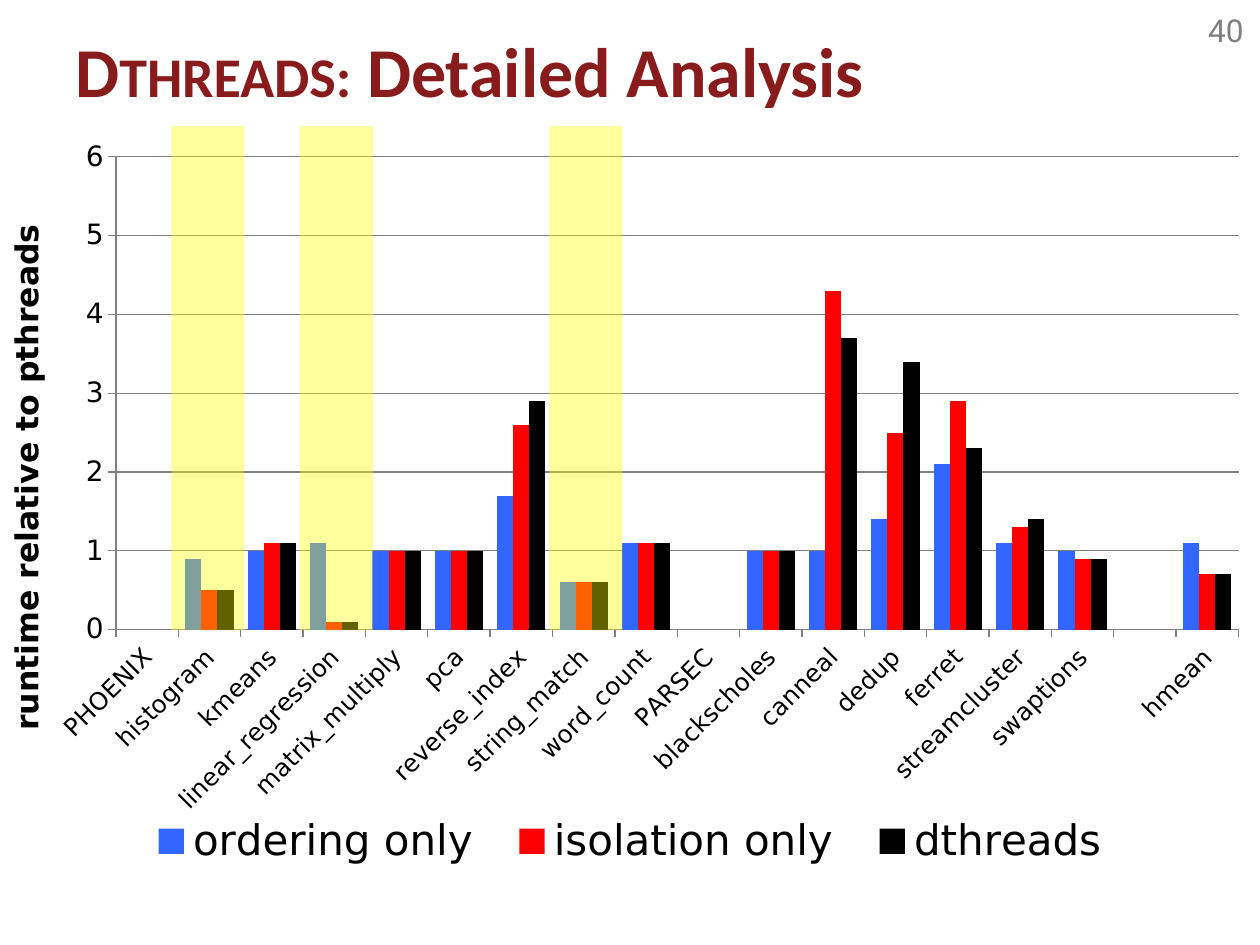
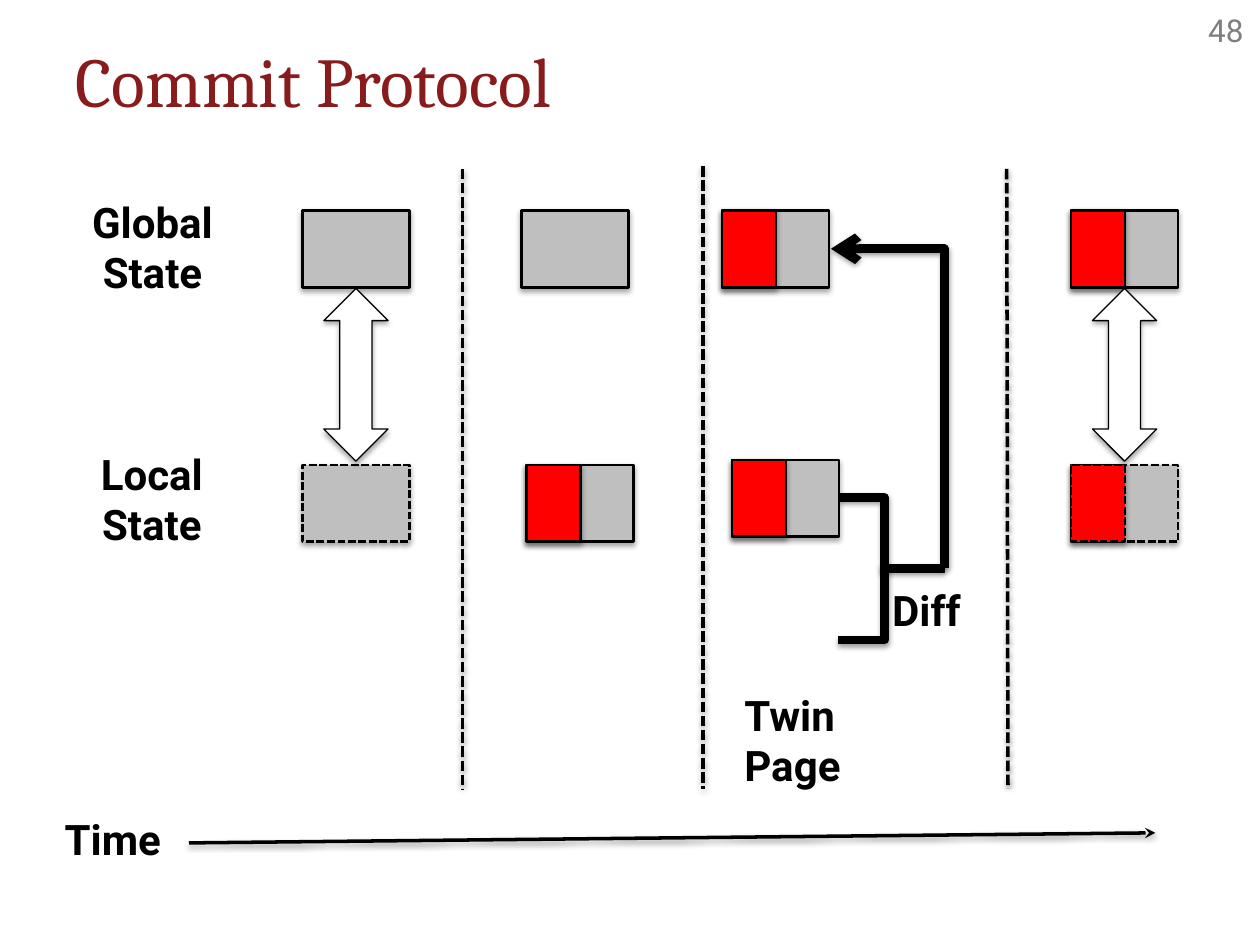
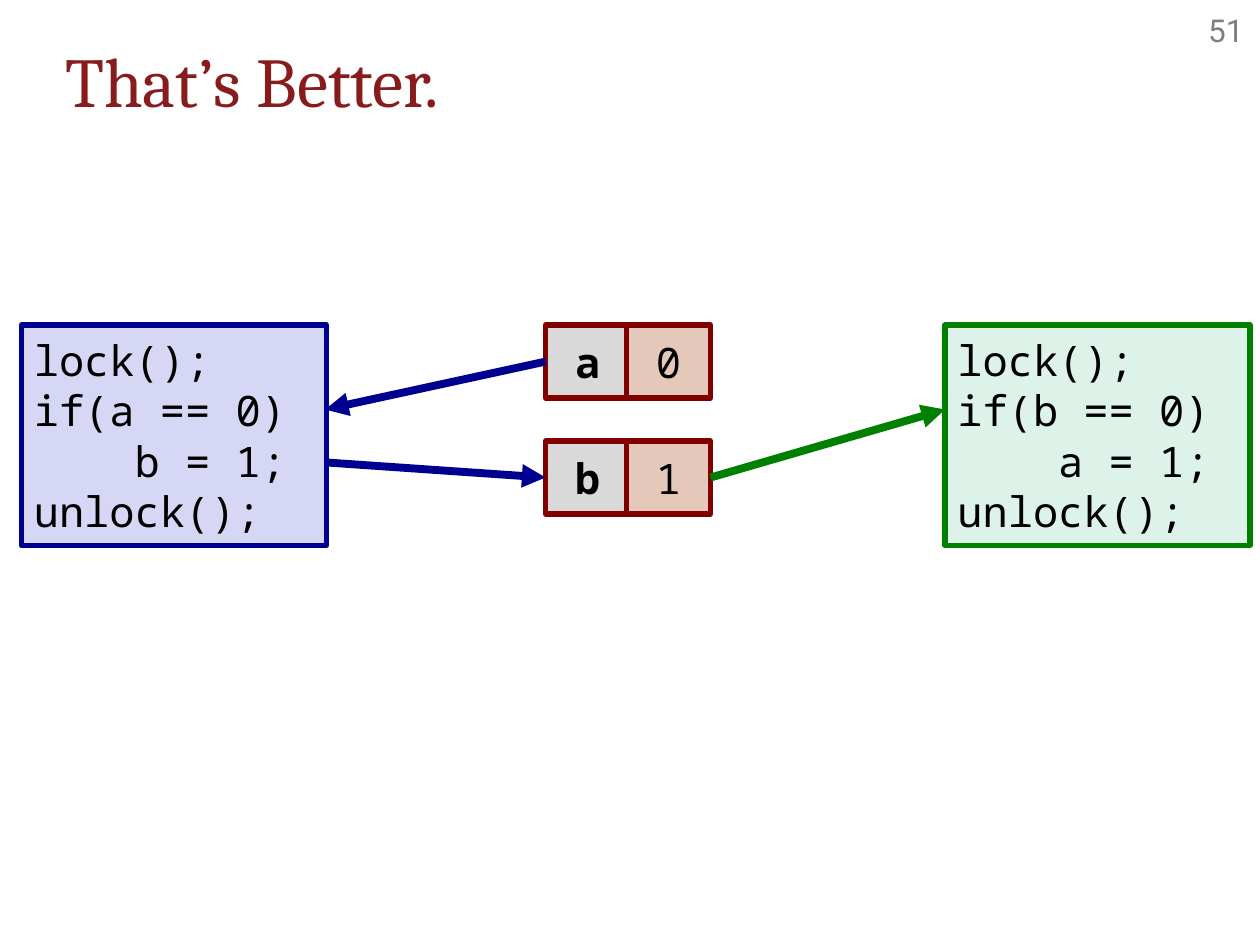
from lxml.etree import SubElement
from pptx import Presentation
from pptx.chart.data import CategoryChartData
from pptx.dml.color import RGBColor
from pptx.enum.chart import XL_CHART_TYPE, XL_LEGEND_POSITION, XL_TICK_MARK
from pptx.enum.dml import MSO_LINE
from pptx.enum.shapes import MSO_CONNECTOR as CONNECTOR, MSO_SHAPE as SHAPE
from pptx.enum.text import MSO_ANCHOR as ANCHOR, PP_ALIGN as ALIGN
from pptx.oxml.ns import qn
from pptx.util import Inches, Pt

BLACK, WHITE, RED, PAGE_GRAY = "000000", "FFFFFF", "FF0000", "BFBFBF"
MAROON, NUMBER_GRAY, GRID_GRAY = "881C1C", "7F7F7F", "808080"
YELLOW, NAVY, GREEN, CELL_RED = "FFFF00", "000090", "008000", "800000"

TITLE = {"name": "Cambria", "size": Pt(40), "color": MAROON}
BOLD_TITLE = {**TITLE, "name": "Calibri", "bold": True}
PAGE_NUMBER = {"name": "Roboto", "size": Pt(18), "color": NUMBER_GRAY}
LABEL = {"name": "Roboto", "size": Pt(24), "color": BLACK, "bold": True}
CODE = {"name": "Noto Sans Mono", "size": Pt(24), "color": BLACK}
CHART_TEXT = {"name": "DejaVu Sans", "size": Pt(16), "color": BLACK}

CATEGORIES = [
    "PHOENIX", "histogram", "kmeans", "linear_regression", "matrix_multiply",
    "pca", "reverse_index", "string_match", "word_count", "PARSEC",
    "blackscholes", "canneal", "dedup", "ferret", "streamcluster",
    "swaptions", "", "hmean",
]
SERIES = [
    ("ordering only", "3366FF",
     [None, 0.9, 1, 1.1, 1, 1, 1.7, 0.6, 1.1, None, 1, 1, 1.4, 2.1, 1.1, 1, None, 1.1]),
    ("isolation only", RED,
     [None, 0.5, 1.1, 0.1, 1, 1, 2.6, 0.6, 1.1, None, 1, 4.3, 2.5, 2.9, 1.3, 0.9, None, 0.7]),
    ("dthreads", BLACK,
     [None, 0.5, 1.1, 0.1, 1, 1, 2.9, 0.6, 1.1, None, 1, 3.7, 3.4, 2.3, 1.4, 0.9, None, 0.7]),
]


def rgb(value):
    return RGBColor.from_string(value)


def set_values(target, values):
    for name, value in values.items():
        setattr(target, name, value)


def set_font(font, style):
    set_values(font, {name: value for name, value in style.items() if name != "color"})
    font.color.rgb = rgb(style["color"])


def set_fill(fill, color, alpha=None):
    fill.solid()
    fill.fore_color.rgb = rgb(color)
    if alpha:
        color_element = next(fill._xPr.iter(qn("a:srgbClr")))
        SubElement(color_element, qn("a:alpha"), val=str(alpha * 1000))


def set_line(line, color, width, dashed=False):
    line.color.rgb = rgb(color)
    line.width = Pt(width)
    if dashed:
        line.dash_style = MSO_LINE.SQUARE_DOT


def add_shadow(effects, alpha, distance):
    shadow = SubElement(effects, qn("a:outerShdw"), blurRad=str(Pt(3.1)),
                        dist=str(Pt(distance)), dir="5400000", rotWithShape="0")
    color = SubElement(shadow, qn("a:srgbClr"), val=BLACK)
    SubElement(color, qn("a:alpha"), val=str(alpha * 1000))


def write(frame, lines, style, align=ALIGN.LEFT):
    frame.word_wrap = True
    for index, text in enumerate(lines):
        paragraph = frame.add_paragraph() if index else frame.paragraphs[0]
        paragraph.alignment = align
        run = paragraph.add_run()
        run.text = text
        set_font(run.font, style)


def add_text(slide, box, lines, style, align=ALIGN.LEFT):
    frame = slide.shapes.add_textbox(*map(Inches, box)).text_frame
    write(frame, lines, style, align)
    return frame


def add_box(slide, box, fill, line=None, width=1.5, dashed=False, alpha=None,
            kind=SHAPE.RECTANGLE, shadow=False):
    shape = slide.shapes.add_shape(kind, *map(Inches, box))
    shape.shadow.inherit = False
    set_fill(shape.fill, fill, alpha)
    if line:
        set_line(shape.line, line, width, dashed)
    else:
        shape.line.fill.background()
    if shadow:
        add_shadow(shape.element.spPr.find(qn("a:effectLst")), 35, 1.8)
    return shape


def add_line(slide, start, end, color, width, dashed=False, tail=None,
             shadow=False, kind=CONNECTOR.STRAIGHT):
    connector = slide.shapes.add_connector(kind, *map(Inches, (*start, *end)))
    set_line(connector.line, color, width, dashed)
    if tail:
        SubElement(connector.line._get_or_add_ln(), qn("a:tailEnd"), type=tail)
    effects = SubElement(connector.element.spPr, qn("a:effectLst"))
    if shadow:
        add_shadow(effects, 38, 1.6)
    return connector


def add_slide(presentation, number):
    slide = presentation.slides.add_slide(presentation.slide_layouts[6])
    add_text(slide, (9.49, 0.04, 0.58, 0.4), [number], PAGE_NUMBER)
    return slide


def add_title(slide, text, left=0.5, top=0.25, style=TITLE):
    return add_text(slide, (left, top, 9, 1.25), [text], style)


def set_layout(parent, position, **values):
    for old in parent.findall(qn("c:layout")):
        parent.remove(old)
    layout = parent.makeelement(qn("c:layout"))
    parent.insert(position, layout)
    manual = SubElement(layout, qn("c:manualLayout"))
    for name, value in values.items():
        SubElement(manual, qn(f"c:{name}"), val=str(value))


def add_runtime_chart(slide, box):
    data = CategoryChartData()
    data.categories = CATEGORIES
    for name, _, values in SERIES:
        data.add_series(name, values)
    chart = slide.shapes.add_chart(
        XL_CHART_TYPE.COLUMN_CLUSTERED, *map(Inches, box), data).chart
    set_font(chart.font, CHART_TEXT)
    set_values(chart, {"has_title": False, "has_legend": True})
    set_values(chart.plots[0], {"gap_width": 88, "overlap": 0, "vary_by_categories": False})
    for series, (_, color, _) in zip(chart.plots[0].series, SERIES):
        set_fill(series.format.fill, color)

    runtime, benchmarks = chart.value_axis, chart.category_axis
    set_values(runtime, {"minimum_scale": 0, "maximum_scale": 6, "major_unit": 1,
                         "has_major_gridlines": True})
    set_values(runtime.tick_labels, {"number_format": "0", "number_format_is_linked": False})
    set_line(runtime.major_gridlines.format.line, GRID_GRAY, 0.75)
    for axis, size in ((runtime, 16), (benchmarks, 14)):
        axis.major_tick_mark = XL_TICK_MARK.OUTSIDE
        set_line(axis.format.line, GRID_GRAY, 0.75)
        set_font(axis.tick_labels.font, {**CHART_TEXT, "size": Pt(size)})
    benchmarks._element.find(qn("c:txPr")).find(qn("a:bodyPr")).set("rot", "-2700000")
    write(runtime.axis_title.text_frame, ["runtime relative to pthreads"],
          {**CHART_TEXT, "size": Pt(18), "bold": True}, ALIGN.CENTER)

    set_values(chart.legend, {"position": XL_LEGEND_POSITION.BOTTOM, "include_in_layout": False})
    set_font(chart.legend.font, {**CHART_TEXT, "size": Pt(24)})
    set_layout(chart.legend._element, 1, xMode="edge", yMode="edge",
               x=0.1, y=0.86, w=0.8, h=0.08)
    set_layout(chart._chartSpace.chart.plotArea, 0, layoutTarget="inner", xMode="edge",
               yMode="edge", x=0.092, y=0.159, w=0.891, h=0.512)


def build_analysis(presentation):
    slide = add_slide(presentation, "40")
    add_runtime_chart(slide, (0, 0.08, 10, 7.33))
    frame = add_title(slide, "Dthreads:", top=0.17, style=BOLD_TITLE)
    paragraph = frame.paragraphs[0]
    paragraph.runs[0]._r.get_or_add_rPr().set("cap", "small")
    run = paragraph.add_run()
    run.text = " Detailed Analysis"
    set_font(run.font, BOLD_TITLE)
    for left in (1.36, 2.38, 4.36):
        add_box(slide, (left, 1, 0.58, 4), YELLOW, alpha=38)


def add_page(slide, left, top, written=False, dashed=False):
    fills = [(0.85, PAGE_GRAY)] + [(0.43, RED)] * written
    for width, fill in fills:
        add_box(slide, (left, top, width, 0.61), fill, BLACK, dashed=dashed, shadow=True)


def add_synced_pages(slide, left, top, written):
    add_page(slide, left, top, written)
    add_page(slide, left, top + 2.02, written, dashed=True)
    add_box(slide, (left + 0.17, top + 0.62, 0.51, 1.37), WHITE, BLACK, 0.75,
            kind=SHAPE.UP_DOWN_ARROW, shadow=True)


def add_diff(slide, left, top):
    bold_line = {"color": BLACK, "width": 5, "shadow": True}
    bracket = add_line(slide, (left, top), (left - 0.01, top + 1.13),
                       kind=CONNECTOR.ELBOW, **bold_line)
    guides = bracket.element.spPr.find(qn("a:prstGeom")).get_or_add_avLst()
    SubElement(guides, qn("a:gd"), name="adj1", fmla="val -3652300")

    commit = add_line(slide, (left - 0.88, top - 0.26), (left + 1.65, top - 1.16),
                      tail="arrow", kind=CONNECTOR.ELBOW, **bold_line)
    commit.element.spPr.find(qn("a:prstGeom")).set("prst", "bentConnector2")
    commit.element.spPr.find(qn("a:xfrm")).set("rot", "16200000")

    add_line(slide, (left + 0.33, top + 0.56), (left + 0.84, top + 0.56), **bold_line)
    label = add_text(slide, (left + 0.42, top + 0.64, 0.79, 0.5), ["Diff"], LABEL)
    set_values(label, {"margin_left": 0, "margin_right": 0})


def build_commit(presentation):
    slide = add_slide(presentation, "48")
    add_title(slide, "Commit Protocol")
    for top_x, bottom_x, top in ((3.67, 3.67, 1.34), (5.58, 5.58, 1.32), (7.99, 8, 1.34)):
        add_line(slide, (top_x, top), (bottom_x, 6.26), BLACK, 2, dashed=True, shadow=True)
    add_line(slide, (1.5, 6.69), (9.17, 6.61), BLACK, 2, tail="stealth", shadow=True)

    global_top, local_top = 1.67, 3.69
    add_synced_pages(slide, 2.4, global_top, written=False)
    add_page(slide, 4.14, global_top)
    add_page(slide, 4.18, local_top, written=True)
    add_diff(slide, 6.66, 3.95)
    add_page(slide, 5.73, global_top, written=True)
    add_page(slide, 5.81, local_top - 0.04, written=True)
    add_synced_pages(slide, 8.5, global_top, written=True)

    add_text(slide, (0.5, 1.51, 1.42, 0.91), ["Global State"], LABEL, ALIGN.CENTER)
    add_text(slide, (0.33, 3.51, 1.75, 0.91), ["Local", "State"], LABEL, ALIGN.CENTER)
    add_text(slide, (0.25, 6.41, 1.29, 0.5), ["Time"], LABEL, ALIGN.CENTER)
    add_text(slide, (5.81, 5.42, 1.24, 0.91), ["Twin Page"], LABEL)


def add_code(slide, left, top, tested, assigned, fill, line):
    shape = add_box(slide, (left, top, 2.42, 1.75), fill, line, 3)
    shape.text_frame.vertical_anchor = ANCHOR.MIDDLE
    write(shape.text_frame,
          ["lock();", f"if({tested} == 0)", f"    {assigned} = 1;", "unlock();"], CODE)


def add_variable(slide, left, top, name, value):
    cells = []
    for offset, text, fill, bold in ((0, name, "D9D9D9", True), (0.64, value, "E4C8BA", False)):
        cell = add_box(slide, (left + offset, top, 0.67, 0.58), fill, CELL_RED, 3)
        cell.text_frame.vertical_anchor = ANCHOR.MIDDLE
        write(cell.text_frame, [text], {**CODE, "bold": bold}, ALIGN.CENTER)
        cells.append(cell)
    return cells


def build_better(presentation):
    slide = add_slide(presentation, "51")
    add_title(slide, "That’s Better.", left=0.42)
    add_code(slide, 0.17, 2.58, "a", "b", "D6D6F5", NAVY)
    add_code(slide, 7.5, 2.58, "b", "a", "DDF3EA", GREEN)
    a_name, _ = add_variable(slide, 4.33, 2.58, "a", "0")
    b_name, b_value = add_variable(slide, 4.33, 3.5, "b", "1")

    arrow = {"width": 4.5, "tail": "triangle"}
    read_a = add_line(slide, (4.33, 2.87), (2.58, 3.25), NAVY, **arrow)
    read_a.begin_connect(a_name, 1)
    write_b = add_line(slide, (2.58, 3.67), (4.33, 3.79), NAVY, **arrow)
    write_b.end_connect(b_name, 1)
    read_b = add_line(slide, (5.64, 3.79), (7.5, 3.25), GREEN, **arrow)
    read_b.begin_connect(b_value, 3)


def main():
    presentation = Presentation()
    set_values(presentation, {"slide_width": Inches(10), "slide_height": Inches(7.5)})
    for build in (build_analysis, build_commit, build_better):
        build(presentation)
    presentation.save("out.pptx")


if __name__ == "__main__":
    main()
